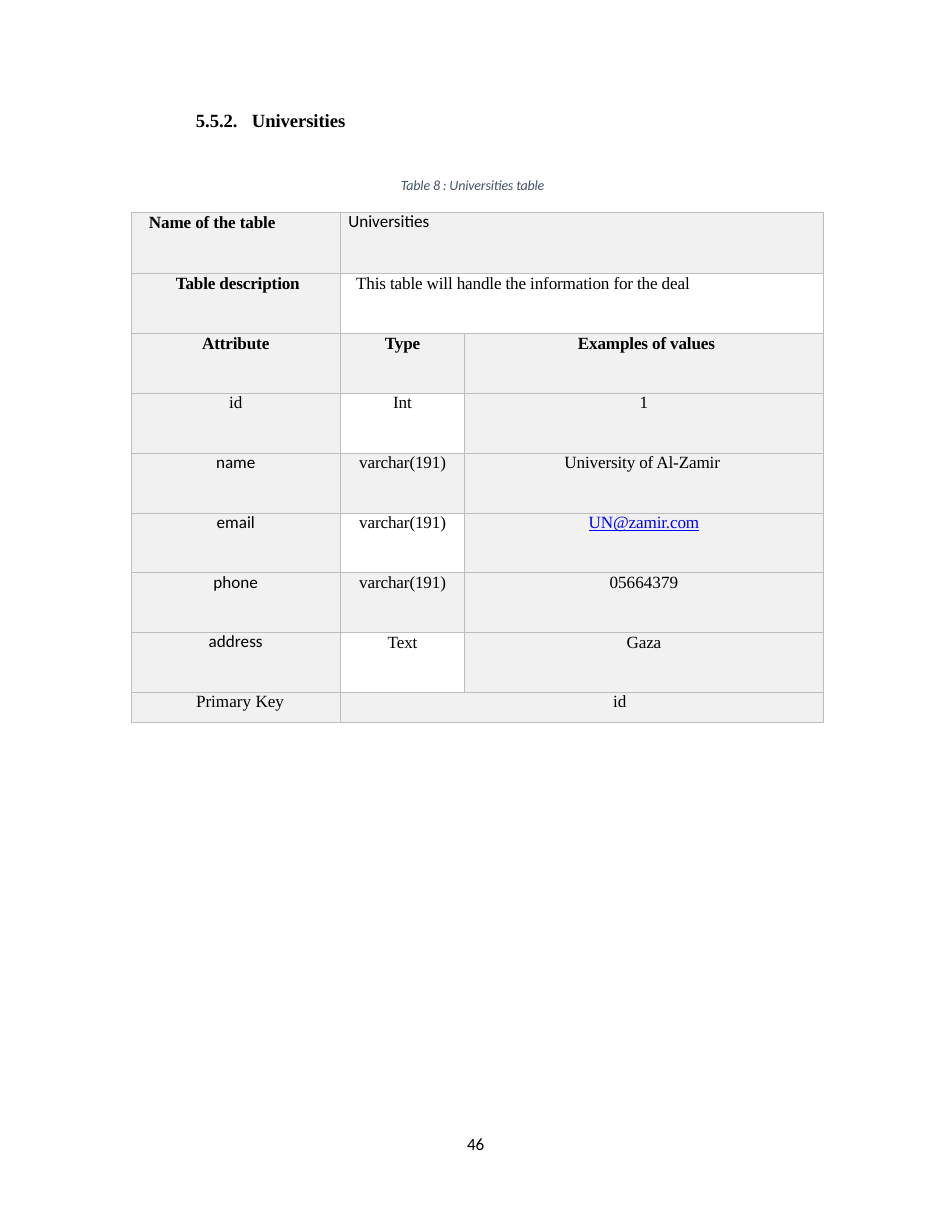
from dataclasses import dataclass
from typing import Any
from lxml.etree import SubElement
from pptx import Presentation
from pptx.dml.color import RGBColor
from pptx.enum.text import PP_ALIGN
from pptx.oxml.ns import qn
from pptx.util import Inches, Pt

COLS, ROWS = 85, 110
SERIF, SANS = "Times New Roman", "Calibri"
BLACK, BLUE, SLATE, GRAY, SHADE = "000000", "0000FF", "44536A", "BEBEBE", "F1F1F1"


def color(code):
    return RGBColor.from_string(code)


def write(frame, text, font=SERIF, size=11, ink=BLACK, bold=False, italic=False,
          line=None, under=False, left=None, center=False, above=0, track=0):
    """Fill a frame with one paragraph; left is its indent in EMU."""
    frame.margin_left = frame.margin_right = frame.margin_top = frame.margin_bottom = 0
    para = frame.paragraphs[0]
    para.alignment = PP_ALIGN.CENTER if center else PP_ALIGN.LEFT
    para.space_before = Pt(above)
    if line:
        para.line_spacing = Pt(line)
    props = para._p.get_or_add_pPr()
    props.set("marL", str(int(left or 0)))
    props.set("indent", "0")
    run = para.add_run()
    run.text = text
    face = run.font
    face.name, face.size, face.bold, face.italic = font, Pt(size), bold, italic
    face.underline = under
    face.color.rgb = color(ink)
    run._r.get_or_add_rPr().set("spc", str(round(track * 100)))
    return para


@dataclass
class Page:
    slide: Any
    wide: int
    high: int
    edge: str = GRAY
    shade: str = SHADE

    def x(self, cols):
        return round(self.wide * cols / COLS)

    def y(self, rows):
        return round(self.high * rows / ROWS)

    def label(self, text, left, top, width, height, tab=None, **style):
        box = self.slide.shapes.add_textbox(
            self.x(left), self.y(top), self.x(width), self.y(height))
        frame = box.text_frame
        frame.word_wrap = True
        para = write(frame, text, left=self.x(0.1), **style)
        if tab:
            stops = SubElement(para._p.get_or_add_pPr(), qn("a:tabLst"))
            SubElement(stops, qn("a:tab"), pos=str(self.x(tab)), algn="l")

    def border(self, cell):
        props = cell._tc.get_or_add_tcPr()
        for side in ("lnL", "lnR", "lnT", "lnB"):
            line = SubElement(props, qn("a:" + side), w=str(Pt(0.5)))
            fill = SubElement(line, qn("a:solidFill"))
            SubElement(fill, qn("a:srgbClr"), val=self.edge)

    def table(self, data, left, top, widths, heights, plain):
        """Draw rows of (text, style); a row one short spans its last cell.

        plain holds the (row, column) places that have no shade.
        """
        grid = self.slide.shapes.add_table(
            len(heights), len(widths), self.x(left), self.y(top),
            self.x(sum(widths)), self.y(sum(heights))).table
        grid.first_row = grid.horz_banding = False
        for col, width in zip(grid.columns, widths):
            col.width = self.x(width)
        for row, height in zip(grid.rows, heights):
            row.height = self.y(height)
        for r, items in enumerate(data):
            for c in range(len(widths)):
                cell = grid.cell(r, c)
                self.border(cell)
                if (r, min(c, len(items) - 1)) in plain:
                    cell.fill.background()
                else:
                    cell.fill.solid()
                    cell.fill.fore_color.rgb = color(self.shade)
                cell.margin_left = cell.margin_right = 0
                cell.margin_top = cell.margin_bottom = 0
                if c < len(items):
                    text, style = items[c]
                    style = dict(style)
                    cols = style.pop("cols", None)
                    style.setdefault("center", cols is None)
                    write(cell.text_frame, text, left=self.x(cols or 0), **style)
            if len(items) < len(widths):
                grid.cell(r, len(items) - 1).merge(grid.cell(r, len(widths) - 1))


def main():
    deck = Presentation()
    deck.slide_width, deck.slide_height = Inches(8.5), Inches(11)
    page = Page(deck.slides.add_slide(deck.slide_layouts[6]),
                deck.slide_width, deck.slide_height)

    page.label("5.5.2.\tUniversities", 17.4, 9.7, 14, 2.3, tab=5,
               size=12, bold=True, above=1, track=-0.05)
    page.label("Table 8 : Universities table", 35.7, 15.8, 13.8, 1.8, font=SANS,
               size=9, ink=SLATE, italic=True, above=1, track=-0.1)

    head = dict(bold=True, line=12.7, track=-0.1)
    body = dict(line=12.4)
    tight = dict(body, track=-0.1)
    sans = dict(font=SANS, line=12.8)
    fields = [
        ("id", body, "Int", "1", body),
        ("name", sans, "varchar(191)", "University of Al-Zamir", dict(tight, cols=8.9)),
        ("email", sans, "varchar(191)", "UN@zamir.com", dict(tight, ink=BLUE, under=True)),
        ("phone", sans, "varchar(191)", "05664379", body),
        ("address", sans, "Text", "Gaza", tight),
    ]
    data = [
        [("Name of the table", dict(head, cols=1.6)),
         ("Universities", dict(sans, cols=0.7))],
        [("Table description", dict(head, cols=4)),
         ("This table will handle the information for the deal", dict(tight, cols=1.4))],
        [("Attribute", head), ("Type", head),
         ("Examples of values", dict(head, cols=10.1))],
        *[[(name, look), (kind, tight), (value, form)]
          for name, look, kind, value, form in fields],
        [("Primary Key", dict(body, cols=5.8)),
         ("id", dict(body, cols=6.8, center=True))],
    ]
    page.table(data, 11.7, 18.95, [18.7, 11.1, 32], [5.5] + [5.34] * 7 + [2.7],
               plain={(1, 1), (3, 1), (5, 1), (7, 1)})

    page.label("46", 41.6, 101.4, 2.1, 1.8, font=SANS, line=11.5)
    deck.save("out.pptx")


if __name__ == "__main__":
    main()
